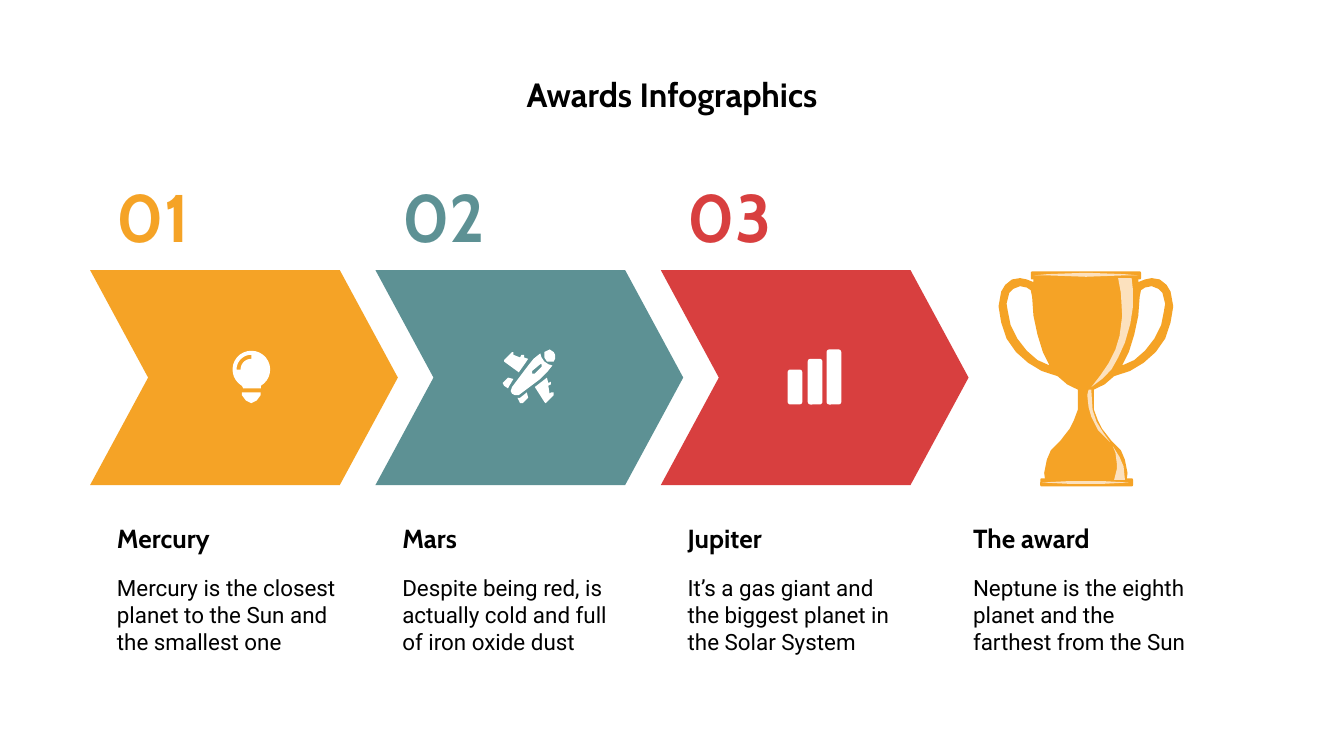
from math import cos, radians, sin

from pptx import Presentation
from pptx.dml.color import RGBColor
from pptx.enum.shapes import MSO_SHAPE as Shape
from pptx.enum.text import MSO_ANCHOR as Anchor, PP_ALIGN as Align
from pptx.util import Inches, Pt

ORANGE, TEAL, RED = "F5A326", "5D9194", "D83F3F"
CREAM, WHITE, BLACK = "FCE1BE", "FFFFFF", "000000"
LEFT, LAST_LEFT = 0.67, 7.04
TROPHY_AXIS = 8.08

COLUMNS = [
    ("Mercury", "Mercury is the closest planet to the Sun and the smallest one", ORANGE),
    ("Mars", "Despite being red, is actually cold and full of iron oxide dust", TEAL),
    ("Jupiter", "It’s a gas giant and the biggest planet in the Solar System", RED),
    ("The award", "Neptune is the eighth planet and the farthest from the Sun", None),
]
PITCH = (LAST_LEFT - LEFT) / (len(COLUMNS) - 1)

TROPHY_SIDE = [
    (7.69, 2.06), (7.69, 2.1), (7.64, 2.08), (7.59, 2.07), (7.53, 2.08), (7.48, 2.12),
    (7.45, 2.17), (7.43, 2.28), (7.45, 2.4), (7.49, 2.52), (7.56, 2.62), (7.65, 2.7),
    (7.75, 2.76), (7.87, 2.8), (7.94, 2.86), (8.02, 2.9), (8.02, 3.05), (7.99, 3.13),
    (7.96, 3.19), (7.89, 3.28), (7.82, 3.35), (7.79, 3.42), (7.77, 3.52), (7.78, 3.6),
]
HANDLE_HOLE = [
    (7.59, 2.13), (7.64, 2.14), (7.67, 2.16), (7.68, 2.21), (7.69, 2.35), (7.72, 2.49),
    (7.76, 2.62), (7.81, 2.72), (7.72, 2.68), (7.64, 2.61), (7.57, 2.52), (7.52, 2.42),
    (7.5, 2.32), (7.49, 2.26), (7.51, 2.18), (7.54, 2.15),
]
TROPHY_SHINES = [
    [(8.32, 2.07), (8.34, 2.18), (8.35, 2.35), (8.33, 2.5), (8.3, 2.6), (8.25, 2.7),
     (8.19, 2.79), (8.12, 2.88), (8.2, 2.82), (8.27, 2.75), (8.32, 2.66), (8.37, 2.55),
     (8.41, 2.41), (8.43, 2.28), (8.43, 2.16), (8.42, 2.07)],
    [(8.1, 2.9), (8.09, 2.94), (8.1, 3.03), (8.12, 3.1), (8.17, 3.2), (8.26, 3.29),
     (8.21, 3.22), (8.16, 3.14), (8.13, 3.05), (8.12, 2.9)],
    [(8.28, 3.32), (8.3, 3.37), (8.31, 3.45), (8.31, 3.49), (8.29, 3.57), (8.37, 3.57),
     (8.36, 3.47), (8.33, 3.4)],
    [(7.69, 2.05), (7.8, 2.04), (8.08, 2.03), (8.36, 2.04), (8.47, 2.05), (8.36, 2.05),
     (8.08, 2.06), (7.8, 2.05)],
    [(7.75, 3.59), (7.95, 3.58), (8.21, 3.58), (8.4, 3.59), (8.21, 3.6), (7.95, 3.6)],
]
PLANE_PARTS = [
    [(3.78, 2.81), (3.74, 2.85), (3.75, 2.87), (3.78, 2.89), (3.79, 2.87), (3.82, 2.82)],
    [(4.07, 2.81), (3.98, 2.88), (4.05, 2.99), (4.06, 3), (4.12, 2.94), (4.12, 2.92),
     (4.1, 2.92), (4.09, 2.93), (4.08, 2.87), (4.1, 2.86), (4.1, 2.84), (4.08, 2.85)],
    [(3.81, 2.62), (3.75, 2.68), (3.75, 2.69), (3.86, 2.77), (3.91, 2.7), (3.93, 2.67),
     (3.9, 2.66), (3.9, 2.64), (3.88, 2.64), (3.87, 2.66), (3.82, 2.64), (3.82, 2.62)],
    [(3.92, 2.92), (3.87, 2.96), (3.85, 2.96), (3.87, 3), (3.89, 3), (3.93, 2.96)],
    [(4.09, 2.6), (4.05, 2.62), (4.05, 2.66), (4.07, 2.69), (4.1, 2.69), (4.12, 2.69),
     (4.13, 2.67), (4.13, 2.64), (4.12, 2.62)],
]
PLANE_BODY = [
    (4.02, 2.63), (3.97, 2.67), (3.93, 2.72), (3.81, 2.88), (3.8, 2.91), (3.81, 2.93),
    (3.83, 2.94), (3.86, 2.94), (4.02, 2.82), (4.07, 2.77), (4.11, 2.72), (4.08, 2.71),
    (4.05, 2.69), (4.03, 2.66),
]
PLANE_WINDOW = [(4.02, 2.71), (4.03, 2.71), (4.03, 2.73), (3.98, 2.78), (3.96, 2.78), (3.96, 2.76)]
BULB_BASE = [(1.8, 2.92), (1.8, 2.94), (1.83, 2.98), (1.87, 3), (1.91, 2.98), (1.94, 2.94), (1.94, 2.92)]


def rgb(color):
    """Turn a hex string into a colour."""
    return RGBColor.from_string(color)


def paint(shape, color):
    """Give a shape a plain fill with no line or shadow."""
    shape.shadow.inherit = False
    shape.fill.solid()
    shape.fill.fore_color.rgb = rgb(color)
    shape.line.fill.background()


def add_text(slide, text, at, *, size, font="Cabin", color=BLACK, bold=True,
             align=Align.LEFT, anchor=Anchor.MIDDLE, insets=(0.2, 0.2, 0.2, 0.2)):
    """Add a text box holding one formatted paragraph."""
    box = slide.shapes.add_textbox(*map(Inches, at))
    frame = box.text_frame
    frame.word_wrap = True
    frame.vertical_anchor = anchor
    (frame.margin_left, frame.margin_top,
     frame.margin_right, frame.margin_bottom) = map(Inches, insets)
    para = frame.paragraphs[0]
    para.alignment = align
    span = para.add_run()
    span.text = text
    span.font.size, span.font.name, span.font.bold = Pt(size), font, bold
    span.font.color.rgb = rgb(color)


def add_preset(shapes, kind, at, color, adjustment):
    """Add a preset shape with one adjustment."""
    shape = shapes.add_shape(kind, *map(Inches, at))
    shape.adjustments[0] = adjustment
    paint(shape, color)


def add_outline(shapes, color, *contours):
    """Add one freeform made of closed contours, inner ones being holes."""
    contours = [[(Inches(x), Inches(y)) for x, y in points] for points in contours]
    builder = shapes.build_freeform(*contours[0][0])
    for index, points in enumerate(contours):
        if index:
            builder.move_to(*points[0])
        builder.add_line_segments(points[1:], close=True)
    paint(builder.convert_to_shape(), color)


def mirror(points):
    """Reflect points across the trophy's axis, in reverse order."""
    return [(2 * TROPHY_AXIS - x, y) for x, y in reversed(points)]


def arc(radius, start, end):
    """List points on a circle around the bulb's centre."""
    steps = 24
    angles = [radians(start + (end - start) * step / steps) for step in range(steps + 1)]
    return [(1.87 + radius * cos(angle), 2.75 + radius * sin(angle)) for angle in angles]


def add_bulb(slide):
    """Draw the light bulb icon."""
    shapes = slide.shapes.add_group_shape().shapes
    glass = [(1.81, 2.89), *arc(0.14, 120, 420), (1.94, 2.89)]
    shine = arc(0.11, 180, 270) + arc(0.08, 270, 180)
    add_outline(shapes, WHITE, glass, shine)
    add_outline(shapes, WHITE, BULB_BASE)


def add_plane(slide):
    """Draw the plane icon."""
    shapes = slide.shapes.add_group_shape().shapes
    for part in PLANE_PARTS:
        add_outline(shapes, WHITE, part)
    add_outline(shapes, WHITE, PLANE_BODY, PLANE_WINDOW)


def add_bars(slide):
    """Draw the rising bars icon."""
    shapes = slide.shapes.add_group_shape().shapes
    for left, top in ((5.86, 2.75), (6.01, 2.67), (6.15, 2.6)):
        at = (left, top, 0.11, 3.01 - top)
        add_preset(shapes, Shape.ROUNDED_RECTANGLE, at, WHITE, 0.18)


def add_trophy(slide):
    """Draw the trophy with its shines."""
    shapes = slide.shapes.add_group_shape().shapes
    for at in ((7.67, 2.02, 0.82, 0.06), (7.74, 3.56, 0.69, 0.06)):
        add_preset(shapes, Shape.ROUNDED_RECTANGLE, at, ORANGE, 0.17)
    add_outline(shapes, ORANGE, TROPHY_SIDE + mirror(TROPHY_SIDE),
                HANDLE_HOLE, mirror(HANDLE_HOLE))
    for shine in TROPHY_SHINES:
        add_outline(shapes, CREAM, shine)


def add_column(slide, index, heading, body, color):
    """Add a column: number and chevron if coloured, then heading and body."""
    left = LEFT + PITCH * index
    if color:
        add_text(slide, f"{index + 1:02}", (left, 1.34, 1.1, 0.53), size=36, color=color)
        add_preset(slide.shapes, Shape.CHEVRON, (left, 2.01, 2.29, 1.6), color, 0.27)
    add_text(slide, heading, (left, 3.74, 2.08, 0.53), size=14)
    add_text(slide, body, (left, 4.27, 2.08, 0.91), size=12, font="Roboto", bold=False,
             anchor=Anchor.TOP, insets=(0.2, 0, 0.22, 0.2))


def main():
    """Build the slide and save the deck."""
    deck = Presentation()
    deck.slide_width, deck.slide_height = Inches(10), Inches(10 * 9 / 16)
    page = deck.slides.add_slide(deck.slide_layouts[6])
    add_text(page, "Awards Infographics", (0.5, 0.45, 9, 0.53), size=18,
             align=Align.CENTER, anchor=Anchor.TOP, insets=(0.1, 0.1, 0.1, 0.1))
    for index, column in enumerate(COLUMNS):
        add_column(page, index, *column)
    for draw in (add_trophy, add_bars, add_plane, add_bulb):
        draw(page)
    deck.save("out.pptx")


if __name__ == "__main__":
    main()
